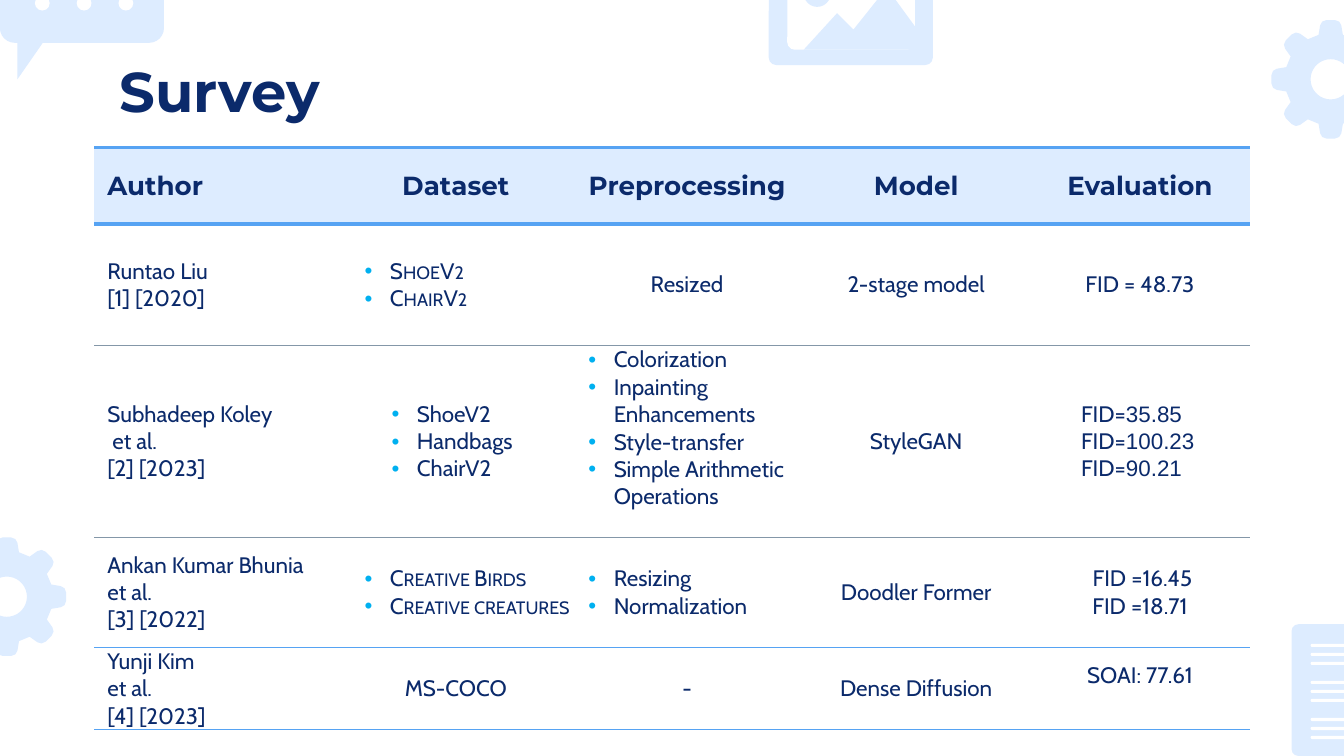
import math

from lxml import etree
from pptx import Presentation
from pptx import util as u
from pptx.dml.color import RGBColor
from pptx.enum import shapes, text
from pptx.oxml.ns import qn

COLORS = {"navy": "0B2A6B", "pale": "DDECFF", "white": "FFFFFF",
          "rule": "56A3F3", "hairline": "8497A8", "bullet": "00B0F0"}
Cm = u.Cm
LEFT, CENTER = text.PP_ALIGN.LEFT, text.PP_ALIGN.CENTER


def paint(shape, color):
    shape.shadow.inherit = False
    shape.fill.solid()
    shape.fill.fore_color.rgb = RGBColor.from_string(COLORS[color])
    shape.line.fill.background()


def write(frame, lines, size=12, font="Cabin", bold=False, align=CENTER,
          indent=None, bullet=False, small_caps=False, number_font=None):
    for i, line in enumerate(lines):
        paragraph = frame.paragraphs[0] if i == 0 else frame.add_paragraph()
        paragraph.alignment = align
        props = paragraph._p.get_or_add_pPr()
        if indent is not None:
            props.set("marL", str(Cm(indent)))
            props.set("indent", str(Cm(-0.48) if bullet else 0))
        if bullet:
            color = etree.SubElement(props, qn("a:buClr"))
            etree.SubElement(color, qn("a:srgbClr"), val=COLORS["bullet"])
            etree.SubElement(props, qn("a:buFont"), typeface="Arial")
            etree.SubElement(props, qn("a:buChar"), char="•")
        parts = [(line, font)]
        if number_font:
            label, number = line.split("=")
            parts = [(label + "=", font), (number, number_font)]
        for words, face in parts:
            run = paragraph.add_run()
            run.text = words
            run.font.size, run.font.name, run.font.bold = u.Pt(size), face, bold
            run.font.color.rgb = RGBColor.from_string(COLORS["navy"])
            if small_caps:
                run._r.get_or_add_rPr().set("cap", "small")


prs = Presentation()
prs.slide_width, prs.slide_height = Cm(25.4), Cm(14.29)
slide = prs.slides.add_slide(prs.slide_layouts[5])

# Rounded panels and dots: left, top, width, height, corner radius (None = oval)
pieces = [
    (0, -0.76, 3.1, 1.57, 0.28, "pale"),          # speech bubble
    (14.53, -0.97, 3.1, 2.2, 0.14, "pale"),       # photo frame
    (14.88, -0.69, 2.41, 1.63, 0.14, "white"),    # photo
    (15.19, -0.38, 0.51, 0.51, None, "pale"),     # sun
    (24.41, 11.8, 2, 2.49, 0.13, "pale"),         # document
]
pieces += [(0.66 + 0.79 * i, -0.08, 0.28, 0.28, None, "white") for i in range(3)]
pieces += [(24.77, 12.17 + 0.7 * block + 0.17 * row, width, 0.06, 0.03, "white")
           for block in range(3) for row, width in enumerate((1.28, 1.28, 0.84))]
for left, top, width, height, radius, color in pieces:
    preset = shapes.MSO_SHAPE.OVAL if radius is None else shapes.MSO_SHAPE.ROUNDED_RECTANGLE
    piece = slide.shapes.add_shape(preset, Cm(left), Cm(top), Cm(width), Cm(height))
    if radius is not None:
        piece.adjustments[0] = radius / min(width, height)
    paint(piece, color)

# Bubble tail, mountains and gears, each a list of contours
outlines = [
    [[(0.33, 0.81), (0.33, 1.5), (0.81, 0.81)]],
    [[(15.19, 0.94), (15.82, 0.25), (16.13, 0.56), (16.76, -0.23), (17.3, 0.51), (17.3, 0.94)]],
]
tooth = [(-0.23, -0.84), (-0.2, -1.02), (-0.16, -1.09), (-0.08, -1.12),
         (0.08, -1.12), (0.16, -1.09), (0.2, -1.02), (0.23, -0.84)]
for cx, cy in ((0.13, 11.28), (25.15, 1.5)):
    turns = [math.radians(45 * i) for i in range(8)]
    rim = [(cx + x * math.cos(a) - y * math.sin(a), cy + x * math.sin(a) + y * math.cos(a))
           for a in turns for x, y in tooth]
    steps = [math.radians(-10 * i) for i in range(36)]
    hole = [(cx + 0.38 * math.cos(a), cy + 0.38 * math.sin(a)) for a in steps]
    outlines.append([rim, hole])
for contours in outlines:
    contours = [[(Cm(x), Cm(y)) for x, y in contour] for contour in contours]
    builder = slide.shapes.build_freeform(*contours[0][0])
    for i, contour in enumerate(contours):
        if i:
            builder.move_to(*contour[0])
        builder.add_line_segments(contour[1:], close=True)
    paint(builder.convert_to_shape(), "pale")

# Title
title = slide.shapes.title
title.left, title.top, title.width, title.height = Cm(2.01), Cm(0.81), Cm(21.41), Cm(1.6)
frame = title.text_frame
frame.margin_left = frame.margin_right = frame.margin_top = frame.margin_bottom = Cm(0.25)
frame.vertical_anchor = text.MSO_ANCHOR.TOP
frame.word_wrap = True
write(frame, ["Survey"], size=30, font="Montserrat", bold=True, align=LEFT)

# Survey table: each cell holds its lines and their format
wide = {"align": LEFT, "indent": 0.94, "bullet": True}
caps = {**wide, "small_caps": True}
deep = {**wide, "indent": 1.45}
near = {**wide, "indent": 0.8}
scores = {"align": LEFT, "indent": 0.97, "number_font": "Arial"}
survey = [
    [(["Author"], {}), (["Dataset"], {}), (["Preprocessing"], {}), (["Model"], {}),
     (["Evaluation"], {})],
    [(["Runtao Liu", "[1] [2020]"], {}), (["ShoeV2", "ChairV2"], caps), (["Resized"], {}),
     (["2-stage model"], {}), (["FID = 48.73"], {})],
    [(["Subhadeep Koley", " et al.", "[2] [2023]"], {}),
     (["ShoeV2", "Handbags", "ChairV2"], deep),
     (["Colorization", "Inpainting Enhancements", "Style-transfer",
       "Simple Arithmetic Operations"], near),
     (["StyleGAN"], {}), (["FID=35.85", "FID=100.23", "FID=90.21"], scores)],
    [(["Ankan Kumar Bhunia", "et al.", "[3] [2022]"], {}),
     (["Creative Birds", "Creative creatures"], caps),
     (["Resizing", "Normalization"], near),
     (["Doodler Former"], {}), ([" FID =16.45", "FID =18.71"], {})],
    [(["Yunji Kim", "et al.", "[4] [2023]"], {}), (["MS-COCO"], {}), (["-"], {}),
     (["Dense Diffusion"], {}), (["SOAI: 77.61"], {})],
]
columns = [4.65, 4.37, 4.37, 4.29, 4.17]
rows = [1.45, 2.29, 3.63, 2.08, 1.55]
# Horizontal rules from the top edge to the bottom edge: colour, points
rules = [("rule", 2.25), ("rule", 2.25), ("hairline", 0.75), ("hairline", 0.75),
         ("rule", 1), ("rule", 1)]
raised = {(2, 2), (4, 4)}  # cells whose text sits above the middle

table = slide.shapes.add_table(len(rows), len(columns), Cm(1.78), Cm(2.79),
                               Cm(sum(columns)), Cm(sum(rows))).table
table.first_row = table.horz_banding = False
table._tbl.tblPr[0].text = "{2D5ABB26-0587-4C30-8999-92F81FD0307C}"  # no style, no grid
for column, width in zip(table.columns, columns):
    column.width = Cm(width)
for r, entries in enumerate(survey):
    table.rows[r].height = Cm(rows[r])
    for c, (lines, style) in enumerate(entries):
        cell = table.cell(r, c)
        header = r == 0
        cell.vertical_anchor = text.MSO_ANCHOR.MIDDLE
        cell.margin_left = cell.margin_right = Cm(0.25 if header or c == 0 else 0)
        cell.margin_top = cell.margin_bottom = Cm(0.18 if header else 0)
        if (r, c) in raised:
            cell.margin_bottom = Cm(0.5)
        look = {"align": LEFT if c == 0 else CENTER, **style}
        if header:
            look.update(size=14, font="Montserrat", bold=True)
        write(cell.text_frame, lines, **look)
        borders = cell._tc.get_or_add_tcPr()
        for edge, (color, points) in (("a:lnT", rules[r]), ("a:lnB", rules[r + 1])):
            line = etree.SubElement(borders, qn(edge), w=str(u.Pt(points)))
            fill = etree.SubElement(line, qn("a:solidFill"))
            etree.SubElement(fill, qn("a:srgbClr"), val=COLORS[color])
        if header:
            cell.fill.solid()
            cell.fill.fore_color.rgb = RGBColor.from_string(COLORS["pale"])
        else:
            cell.fill.background()

prs.save("out.pptx")
